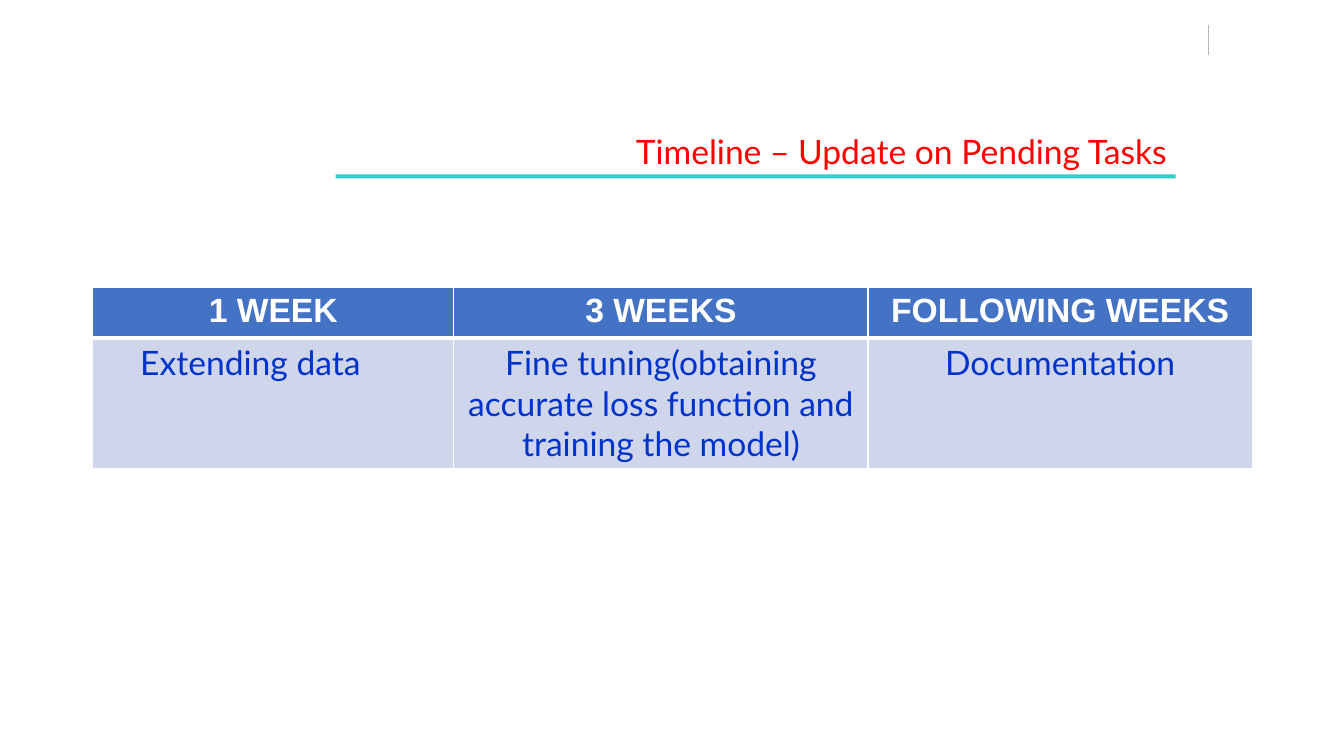
from dataclasses import dataclass

from lxml import etree
from pptx import Presentation
from pptx.dml.color import RGBColor
from pptx.enum.shapes import MSO_CONNECTOR, MSO_SHAPE
from pptx.enum.text import PP_ALIGN
from pptx.oxml.ns import qn
from pptx.util import Inches, Pt

LINE = MSO_CONNECTOR.STRAIGHT
RECT = MSO_SHAPE.RECTANGLE
CENTER, RIGHT, JUSTIFY = PP_ALIGN.CENTER, PP_ALIGN.RIGHT, PP_ALIGN.JUSTIFY


@dataclass(frozen=True)
class Theme:
    title: str = "FF0000"
    bar: str = "33CCCC"
    tick: str = "B7B7B7"
    head: str = "4472C4"
    body: str = "CFD5EA"
    ink: str = "0033CC"
    white: str = "FFFFFF"
    size: int = 24
    sans: str = "Lato"
    bold: str = "Arial"


theme = Theme()


def write(frame, text, color, font=theme.sans, bold=False, align=CENTER, left=0, first=0):
    """Fill a text frame with one formatted paragraph; left and first are indents in inches."""
    para = frame.paragraphs[0]
    para.alignment = align
    props = para._p.get_or_add_pPr()
    props.set("marL", str(Inches(left)))
    props.set("indent", str(Inches(first)))
    run = para.add_run()
    run.text = text
    run.font.name = font
    run.font.size = Pt(theme.size)
    run.font.bold = bold
    run.font.color.rgb = RGBColor.from_string(color)


def border(cell, **widths):
    """Draw white cell borders; widths in points by side, in the order L, R, T, B."""
    props = cell._tc.get_or_add_tcPr()
    for side, width in widths.items():
        edge = etree.SubElement(props, qn("a:ln" + side), w=str(Pt(width)))
        fill = etree.SubElement(edge, qn("a:solidFill"))
        etree.SubElement(fill, qn("a:srgbClr"), val=theme.white)


deck = Presentation()
deck.slide_width, deck.slide_height = Inches(13.33), Inches(7.5)
slide = deck.slides.add_slide(deck.slide_layouts[6])
shapes = slide.shapes

# Corner tick
tick = shapes.add_connector(LINE, Inches(11.99), Inches(0.25), Inches(11.99), Inches(0.55))
tick.line.color.rgb = RGBColor.from_string(theme.tick)
tick.line.width = Pt(0.75)
etree.SubElement(tick._element.spPr, qn("a:effectLst"))

# Title and its underline
bar = shapes.add_shape(RECT, Inches(3.33), Inches(1.73), Inches(8.33), Inches(0.04))
bar.shadow.inherit = False
bar.fill.solid()
bar.fill.fore_color.rgb = RGBColor.from_string(theme.bar)
bar.line.fill.background()

title = shapes.add_textbox(Inches(3.17), Inches(1.25), Inches(8.5), Inches(0.5))
title.text_frame.word_wrap = True
write(title.text_frame, "Timeline – Update on Pending Tasks", theme.title,
      align=RIGHT, left=0.38, first=-0.38)

# Timeline table: heading, task, column width, task format
plan = [
    ("1 WEEK", "Extending data", 3.58, {"align": JUSTIFY, "left": 0.37}),
    ("3 WEEKS", "Fine tuning(obtaining accurate loss function and training the model)", 4.11, {}),
    ("FOLLOWING WEEKS", "Documentation", 3.81, {}),
]
grid = shapes.add_table(2, len(plan), Inches(0.92), Inches(2.85), Inches(11.5), Inches(1.8)).table
grid.rows[0].height, grid.rows[1].height = Inches(0.5), Inches(1.3)

for col, (week, task, width, style) in enumerate(plan):
    grid.columns[col].width = Inches(width)
    head, body = grid.cell(0, col), grid.cell(1, col)
    border(head, L=1, R=1, T=1, B=3)
    border(body, L=1, R=1, T=3, B=1)
    for cell, color in ((head, theme.head), (body, theme.body)):
        cell.fill.solid()
        cell.fill.fore_color.rgb = RGBColor.from_string(color)
    write(head.text_frame, week, theme.white, font=theme.bold, bold=True)
    write(body.text_frame, task, theme.ink, **style)

deck.save("out.pptx")
